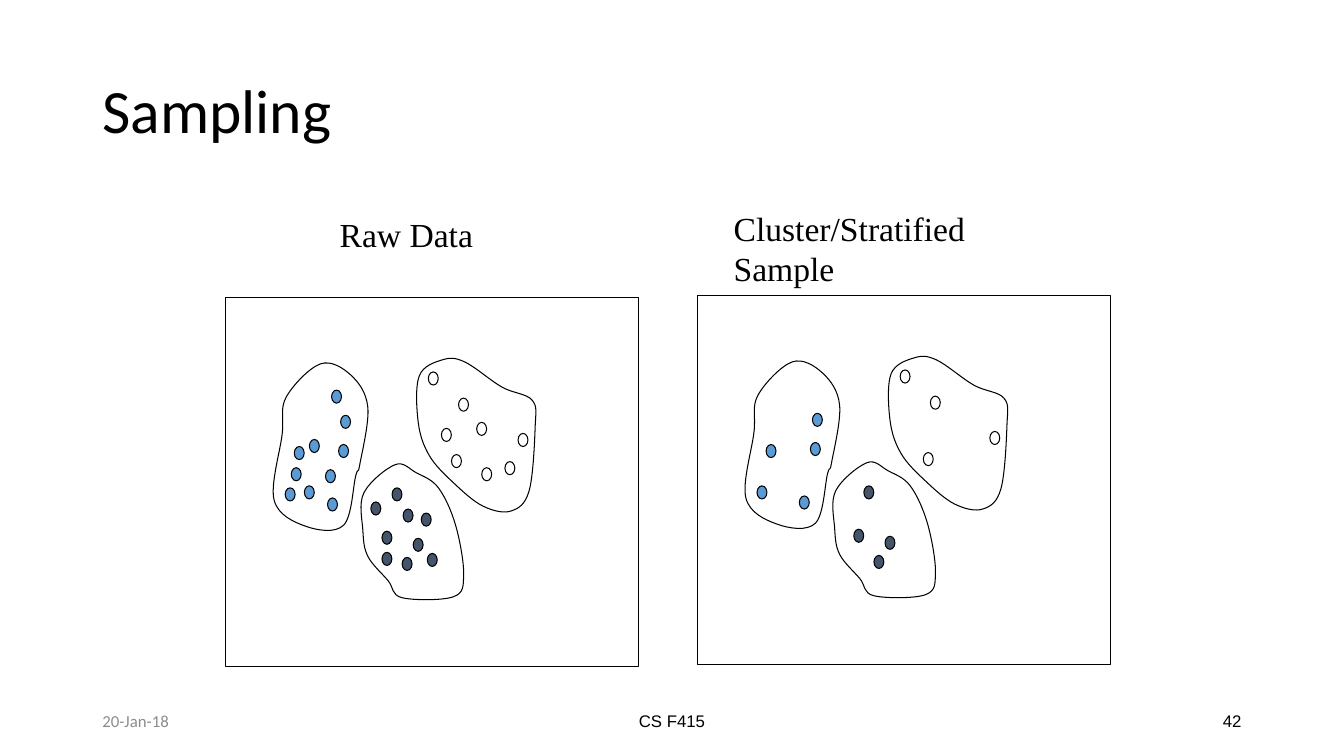
"""Build the Sampling slide: raw data clusters beside a stratified sample of them."""
import pptx
import pptx.util
import pptx.dml.color
import pptx.enum.shapes
import pptx.enum.text
import pptx.oxml
import pptx.oxml.ns

Cm = pptx.util.Cm
Pt = pptx.util.Pt
ALIGN = pptx.enum.text.PP_ALIGN
ANCHOR = pptx.enum.text.MSO_ANCHOR
SHAPE = pptx.enum.shapes.MSO_SHAPE
COLORS = {"ink": "000000", "white": "FFFFFF", "slate": "44546A", "blue": "5B9BD5", "date": "8C8C8C"}
UNIT = Cm(2.54) / 100


def write(shape, text, size=12, font="Arial", color="ink", align=ALIGN.LEFT,
          anchor=ANCHOR.MIDDLE, wrap=True, spacing=1.0):
    frame = shape.text_frame
    frame.word_wrap = wrap
    frame.vertical_anchor = anchor
    paragraph = frame.paragraphs[0]
    paragraph.alignment = align
    paragraph.line_spacing = spacing
    run = paragraph.add_run()
    run.text = text
    run.font.size = Pt(size)
    run.font.name = font
    run.font.color.rgb = pptx.dml.color.RGBColor.from_string(COLORS[color])
    return frame


def paint(shape, fill=None):
    shape.shadow.inherit = False
    if fill:
        shape.fill.solid()
        shape.fill.fore_color.rgb = pptx.dml.color.RGBColor.from_string(COLORS[fill])
    else:
        shape.fill.background()
    shape.line.color.rgb = pptx.dml.color.RGBColor.from_string(COLORS["ink"])
    shape.line.width = Pt(0.75)


presentation = pptx.Presentation()
presentation.slide_width = Cm(33.87)
presentation.slide_height = Cm(19.05)
slide = presentation.slides.add_slide(presentation.slide_layouts[5])
shapes = slide.shapes

title = shapes.title
title.left, title.top, title.width, title.height = Cm(2.33), Cm(1.02), Cm(29.21), Cm(3.68)
write(title, "Sampling", size=44, font="Calibri", spacing=0.9)

clusters = [
    {"color": "white", "sampled": 4,
     "dots": [(455, 395), (448, 451), (514, 430), (425, 369),
              (473, 419), (438, 425), (501, 458), (478, 464)],
     "outline": [(528, 397), (531, 424), (525, 487), (507, 507), (479, 502), (450, 479),
                 (426, 452), (415, 419), (416, 373), (439, 357), (461, 359), (498, 384)]},
    {"color": "slate", "sampled": 4,
     "dots": [(399, 553), (410, 534), (379, 527), (389, 484), (368, 498),
              (418, 509), (379, 548), (400, 505), (424, 549)],
     "outline": [(385, 576), (365, 552), (360, 526), (361, 489), (392, 461), (413, 469),
                 (435, 484), (452, 521), (460, 570), (450, 592), (399, 593)]},
    {"color": "blue", "sampled": 5,
     "dots": [(283, 484), (292, 443), (325, 494), (336, 441), (338, 412),
              (302, 482), (289, 464), (323, 466), (307, 436), (329, 387)],
     "outline": [(353, 472), (341, 521), (303, 522), (272, 496), (280, 431), (284, 394),
                 (318, 361), (348, 372), (365, 404), (357, 461)]},
]

for shift_x, shift_y, is_sample in [(Cm(0), Cm(0), False), (Cm(11.89), Cm(-0.05), True)]:
    panel = shapes.add_shape(SHAPE.RECTANGLE, Cm(5.69) + shift_x, Cm(7.49) + shift_y, Cm(10.41), Cm(9.3))
    paint(panel)
    for cluster in clusters:
        dots = cluster["dots"][:cluster["sampled"]] if is_sample else cluster["dots"]
        for x, y in dots:
            dot = shapes.add_shape(SHAPE.FLOWCHART_CONNECTOR, int(x * UNIT + shift_x),
                                   int(y * UNIT + shift_y), Cm(0.25), Cm(0.33))
            paint(dot, cluster["color"])
        points = [(x * UNIT, y * UNIT) for x, y in cluster["outline"]]
        curve_points = []
        for index, start in enumerate(points):
            before = points[index - 1]
            end = points[(index + 1) % len(points)]
            after = points[(index + 2) % len(points)]
            curve_points += [
                [s + (e - b) / 6 for s, e, b in zip(start, end, before)],
                [e - (a - s) / 6 for s, e, a in zip(start, end, after)],
                end,
            ]
        builder = shapes.build_freeform(*points[0])
        builder.add_line_segments(curve_points, close=True)
        outline = builder.convert_to_shape(shift_x, shift_y)
        paint(outline)
        segments = list(outline.element.iter(pptx.oxml.ns.qn("a:lnTo")))
        for first in range(0, len(curve_points), 3):
            curve = pptx.oxml.parse_xml(f'<a:cubicBezTo {pptx.oxml.ns.nsdecls("a")}/>')
            segments[first].addprevious(curve)
            for segment in segments[first:first + 3]:
                curve.append(segment[0])
                segment.getparent().remove(segment)

raw_label = shapes.add_textbox(Cm(8.31), Cm(5.26), Cm(4.09), Cm(1.27))
write(raw_label, "Raw Data", size=24, font="Times New Roman", anchor=ANCHOR.TOP, wrap=False)
sample_label = shapes.add_textbox(Cm(18.24), Cm(5.11), Cm(9.07), Cm(1.27))
sample_frame = write(sample_label, "Cluster/Stratified Sample", size=24, font="Times New Roman",
                     anchor=ANCHOR.TOP)
sample_frame.margin_right = Cm(1)

for left, width, text, font, color, align in [
    (2.33, 7.62, "20-Jan-18", "Calibri", "date", ALIGN.LEFT),
    (11.22, 11.43, "CS F415", "Arial", "ink", ALIGN.CENTER),
    (23.92, 7.62, "42", "Arial", "ink", ALIGN.RIGHT),
]:
    footer = shapes.add_textbox(Cm(left), Cm(17.65), Cm(width), Cm(1.01))
    write(footer, text, font=font, color=color, align=align)

presentation.save("out.pptx")
